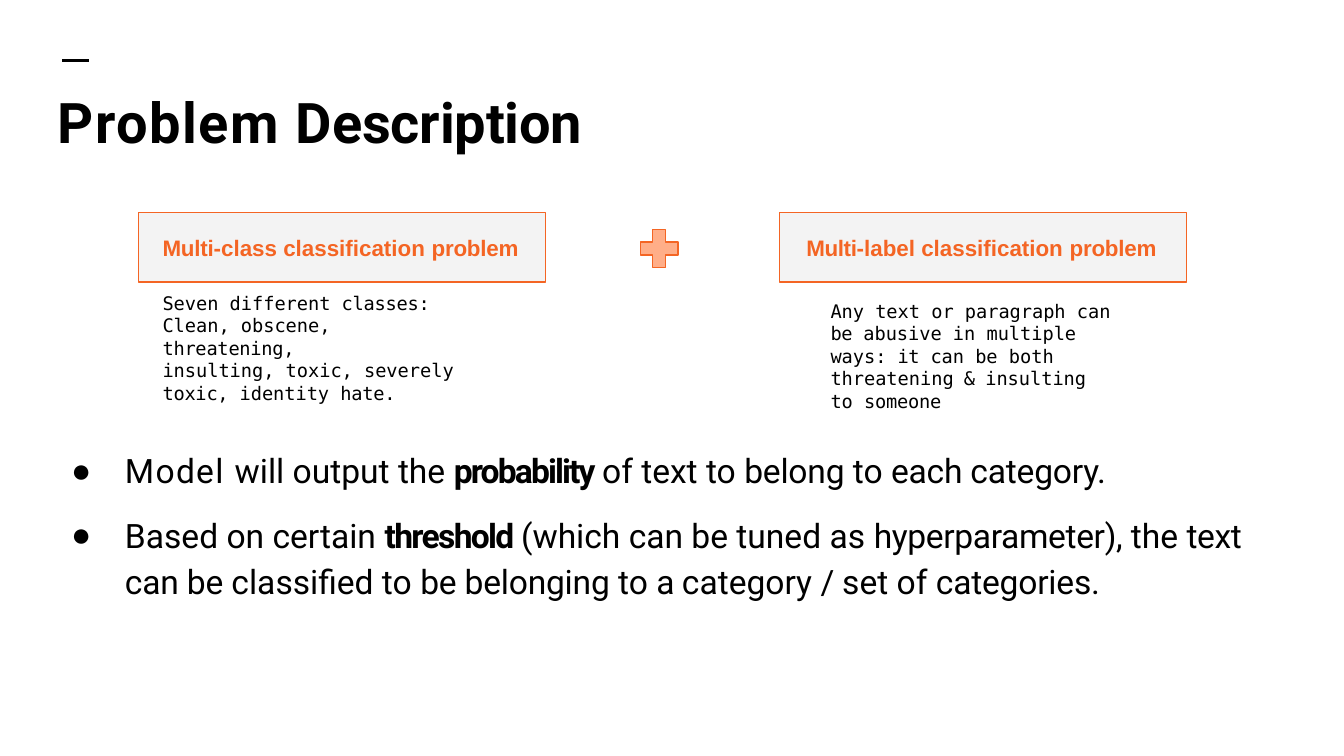
"""Build the Problem Description slide with two problem types and a bullet list."""
from dataclasses import dataclass

from lxml.etree import SubElement
from pptx import Presentation
from pptx.dml.color import RGBColor
from pptx.enum.shapes import MSO_CONNECTOR as CONN, MSO_SHAPE as SHAPE
from pptx.enum.text import MSO_ANCHOR as ANCHOR, MSO_AUTO_SIZE as FIT, PP_ALIGN as ALIGN
from pptx.oxml.ns import qn
from pptx.util import Inches, Pt

COLS, ROWS = 100, 56.25
COLORS = {"ink": "000000", "accent": "F46524", "panel": "F3F3F3", "plus": "FFAE88"}
TITLE = {"name": "Roboto", "size": Pt(30), "bold": True}
BODY = {"name": "Roboto", "size": Pt(18), "bold": False}
LABEL = {"name": "Arial", "size": Pt(12), "bold": True}
NOTE = {"name": "DejaVu Sans Mono", "size": Pt(10), "bold": False}


@dataclass
class Area:
    col: float
    row: float
    cols: float
    rows: float


@dataclass
class Run:
    text: str
    spacing: float = 0
    bold: bool = False


@dataclass
class Problem:
    label: list
    label_indent: float
    panel: Area
    note: list
    note_area: Area
    note_right: float


PROBLEMS = [
    Problem([Run("Multi-", -0.1), Run("class classification "), Run("problem", -0.1)], 0.18,
            Area(10.3, 15.8, 30.3, 5.2),
            [[Run("Seven different "), Run("classes: ", -0.1), Run("Clean, obscene, "),
              Run("threatening,", -0.1)],
             [Run("insulting, toxic, severely "), Run("toxic, ", -0.1), Run("identity "),
              Run("hate.", -0.1)]],
            Area(12, 21.6, 25.4, 6.9), 0.3),
    Problem([Run("Multi-", -0.2), Run("label classification "), Run("problem", -0.1)], 0.2,
            Area(58, 15.8, 30.3, 5.2),
            [[Run("Any text or paragraph can "), Run("be ", -0.2), Run("abusive in multiple ways: "),
              Run("it ", -0.2), Run("can be both threatening"), Run(" & ", -0.5),
              Run("insulting to "), Run("someone", -0.1)]],
            Area(61.7, 22.2, 21.6, 6.9), 0.05),
]
BULLETS = [
    [Run("Model ", 0.7), Run("will output the "), Run("probability ", -1, True),
     Run("of text to "), Run("belong ", -0.1), Run("to "), Run("each category.", -0.1)],
    [Run("Based on certain "), Run("threshold ", -0.9, True), Run("(which can be tuned as "),
     Run("hyperparameter),", -0.2), Run(" the "), Run("text ", -0.2), Run("can be ", -0.1),
     Run("classified to "), Run("be belonging ", -0.1), Run("to "), Run("a ", -0.5),
     Run("category "), Run("/ ", -0.3), Run("set of "), Run("categories.", -0.1)],
]

prs = Presentation()
prs.slide_width, prs.slide_height = Inches(10), Inches(10 * 9 / 16)


def place(area: Area) -> list:
    """Turn grid columns and rows into slide lengths."""
    cw, rh = prs.slide_width / COLS, prs.slide_height / ROWS
    return [round(v) for v in (area.col * cw, area.row * rh, area.cols * cw, area.rows * rh)]


def move(sp, area: Area) -> None:
    """Put a shape at its grid area."""
    for name, value in zip(("left", "top", "width", "height"), place(area)):
        setattr(sp, name, value)


def write(sp, paragraphs: list, font: dict, color: str = "ink", top: float = 0.01,
          indent: float = 0.01, right: float = 0) -> list:
    """Fill a shape with formatted runs and return its paragraphs."""
    tf = sp.text_frame
    frame = {"margin_left": 0, "margin_right": 0, "margin_top": Inches(top), "margin_bottom": 0,
             "word_wrap": True, "auto_size": FIT.NONE, "vertical_anchor": ANCHOR.TOP}
    for name, value in frame.items():
        setattr(tf, name, value)
    for i, runs in enumerate(paragraphs):
        p = tf.add_paragraph() if i else tf.paragraphs[0]
        p.alignment, p.space_before = ALIGN.LEFT, Pt(0)
        pPr = p._p.get_or_add_pPr()
        for name, value in {"marL": indent, "marR": right, "indent": 0}.items():
            pPr.set(name, str(Inches(value)))
        for run in runs:
            r = p.add_run()
            r.text = run.text
            for name, value in font.items():
                setattr(r.font, name, value)
            r.font.bold = font["bold"] or run.bold
            r.font.color.rgb = RGBColor.from_string(COLORS[color])
            r._r.get_or_add_rPr().set("spc", str(round(run.spacing * 100)))
    return list(tf.paragraphs)


def add_bullet(p) -> None:
    """Give a paragraph a hanging round bullet."""
    pPr = p._p.get_or_add_pPr()
    pPr.set("indent", str(Inches(-0.4)))
    SubElement(pPr, qn("a:buFont")).set("typeface", "Arial")
    SubElement(pPr, qn("a:buChar")).set("char", "●")


def add_filled(s, kind: SHAPE, area: Area, fill: str):
    """Draw a filled preset shape with an accent outline."""
    sp = s.shapes.add_shape(kind, *place(area))
    sp.shadow.inherit = False
    sp.fill.solid()
    sp.fill.fore_color.rgb = RGBColor.from_string(COLORS[fill])
    sp.line.color.rgb = RGBColor.from_string(COLORS["accent"])
    sp.line.width = Pt(0.75)
    return sp


def add_rule(s, area: Area) -> None:
    """Draw the short rule above the title."""
    x, y, w, h = place(area)
    line = s.shapes.add_connector(CONN.STRAIGHT, x, y, x + w, y + h)
    line.line.color.rgb = RGBColor.from_string(COLORS["ink"])
    line.line.width = Pt(1.5)
    SubElement(line._element.spPr, qn("a:effectLst"))


def add_problem(s, problem: Problem) -> None:
    """Draw a problem panel with its explanation below."""
    panel = add_filled(s, SHAPE.RECTANGLE, problem.panel, "panel")
    write(panel, [problem.label], LABEL, "accent", top=0.16, indent=problem.label_indent)
    note = s.shapes.add_textbox(*place(problem.note_area))
    write(note, problem.note, NOTE, right=problem.note_right)


def main() -> None:
    """Assemble and save the slide."""
    s = prs.slides.add_slide(prs.slide_layouts[1])
    add_rule(s, Area(4.65, 4.5, 2, 0))
    title, body = s.placeholders
    move(title, Area(4.2, 6.3, 67.6, 5.3))
    write(title, [[Run("Problem ", 0.8), Run("Description", -0.1)]], TITLE, top=0.02)
    move(body, Area(5.2, 33.4, 90.3, 11.5))
    items = write(body, BULLETS, BODY, indent=0.41)
    items[1].space_before, items[1].line_spacing = Pt(9.8), 1.15
    for p in items:
        add_bullet(p)
    for problem in PROBLEMS:
        add_problem(s, problem)
    plus = add_filled(s, SHAPE.CROSS, Area(47.65, 17.1, 2.8, 2.8), "plus")
    plus.adjustments[0] = 0.33
    prs.save("out.pptx")


if __name__ == "__main__":
    main()
